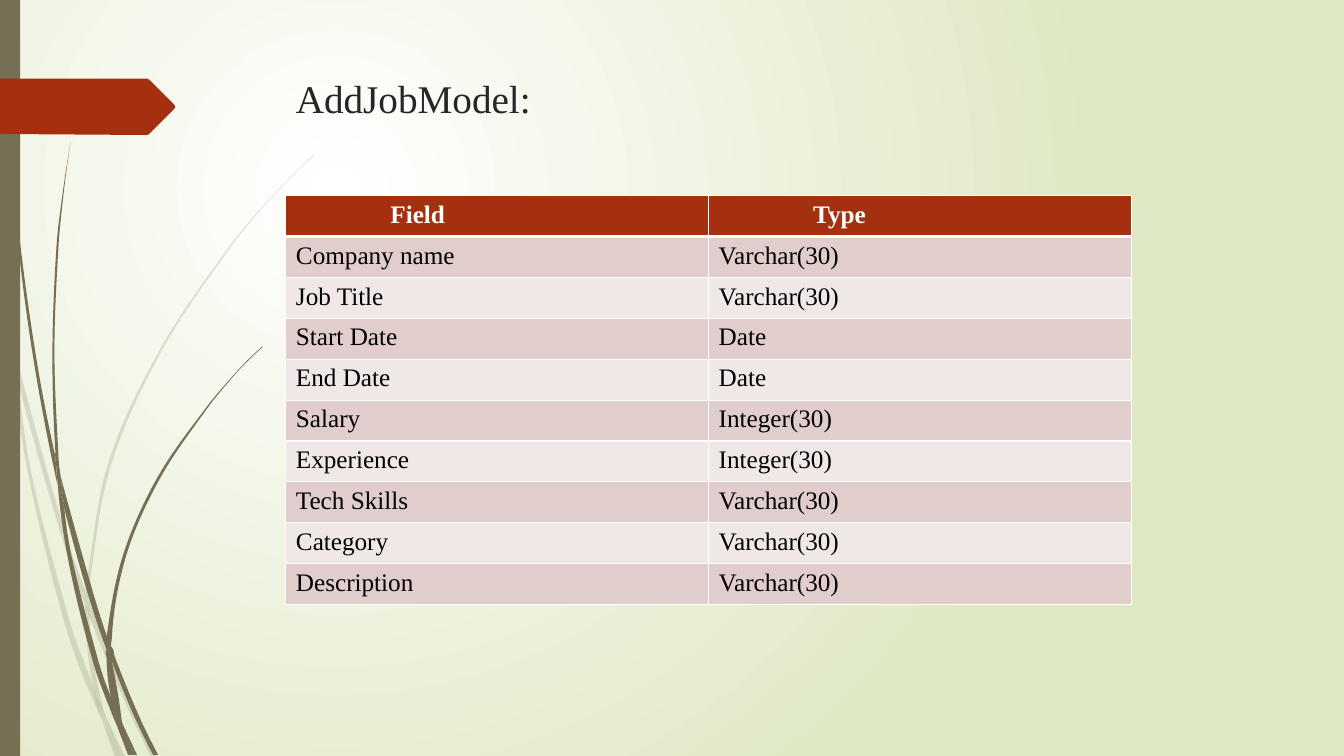
from lxml import etree
from pptx import Presentation
from pptx.dml.color import RGBColor
from pptx.enum.shapes import MSO_SHAPE
from pptx.enum.text import MSO_ANCHOR
from pptx.oxml.ns import qn
from pptx.util import Pt

RECT = MSO_SHAPE.RECTANGLE
TOP = MSO_ANCHOR.TOP
FONT = "Times New Roman"
OLIVE, RUST, WHITE, GREEN = "766F54", "A53010", "FFFFFF", "DFE8C4"
DARK, BLACK = "262626", "000000"
BANDS = ["E1CDCC", "F0E8E7"]

# Content
TITLE = "AddJobModel:"
HEAD = ("Field", "Type")
FIELDS = [
    ("Company name", "Varchar(30)"),
    ("Job Title", "Varchar(30)"),
    ("Start Date", "Date"),
    ("End Date", "Date"),
    ("Salary", "Integer(30)"),
    ("Experience", "Integer(30)"),
    ("Tech Skills", "Varchar(30)"),
    ("Category", "Varchar(30)"),
    ("Description", "Varchar(30)"),
]

# Outlines, in grid units; each blade piece has two smooth edges
GRID = Pt(0.72)
PALE = [
    ([(0, 282), (9, 322), (11, 350)], [(10, 344), (0, 299)]),
    ([(14, 345), (62, 520), (85, 586)], [(84, 599), (58, 522), (17, 376)]),
    ([(88, 596), (92, 607), (127, 692), (155, 751)],
     [(150, 751), (123, 694), (88, 610)]),
    ([(105, 711), (124, 751)], [(119, 751), (105, 711)]),
    ([(11, 350), (17, 376), (31, 469), (70, 619), (93, 683), (101, 714)],
     [(92, 693), (65, 621), (28, 470), (11, 350)]),
    ([(84, 599), (87, 646), (93, 683), (105, 711)],
     [(103, 706), (91, 646), (88, 608), (84, 599)]),
    ([(88, 596), (88, 584), (110, 462), (160, 349), (229, 245), (268, 198),
      (312, 154)],
     [(312, 153), (268, 197), (228, 244), (158, 348), (107, 461), (85, 584),
      (85, 586)]),
    ([(101, 714), (114, 751)], [(119, 751), (101, 714)]),
    ([(88, 610), (88, 596), (85, 586)], [(84, 599), (88, 608)]),
    ([(93, 683), (99, 707), (119, 751)], [(119, 751), (105, 711), (96, 692)]),
]
DEEP = [
    ([(3, 0), (4, 48), (7, 110), (17, 233), (33, 355), (57, 481)],
     [(55, 453), (36, 355), (19, 232), (8, 109), (5, 48), (4, 0)]),
    ([(60, 472), (93, 590), (106, 631)], [(106, 645), (88, 592), (64, 505)]),
    ([(110, 641), (136, 706), (157, 749)],
     [(152, 749), (132, 708), (111, 656)]),
    ([(57, 477), (68, 557), (93, 659), (111, 708), (117, 722)],
     [(110, 691), (98, 657), (72, 556), (64, 505)]),
    ([(60, 472), (58, 453), (54, 349), (58, 245), (63, 193), (70, 141)],
     [(70, 141), (62, 193), (56, 245), (52, 349), (55, 449), (60, 472)]),
    ([(122, 719), (136, 749)], [(133, 749), (122, 719)]),
    ([(57, 477), (64, 505)], [(60, 472), (55, 449), (55, 453)]),
    ([(111, 633), (125, 552), (158, 476), (205, 406), (231, 374), (245, 359),
      (261, 344)],
     [(260, 344), (245, 358), (231, 373), (204, 405), (156, 474), (122, 551),
      (106, 631), (110, 641)]),
    ([(117, 722), (127, 749)], [(131, 749), (117, 722)]),
    ([(106, 645), (110, 691), (122, 719)],
     [(121, 716), (111, 656), (106, 645)]),
    ([(106, 645), (111, 656), (110, 641)], [(106, 631), (106, 645)]),
    ([(110, 691), (117, 722), (130, 749)], [(133, 749), (122, 719), (116, 706)]),
]
ARROW = [(0, 78), (146, 78), (148, 79), (173, 104), (174, 106), (173, 108),
         (148, 133), (146, 134), (0, 133)]


def color(code):
    return RGBColor.from_string(code)


def paint(shape, code):
    shape.shadow.inherit = False
    shape.fill.solid()
    shape.fill.fore_color.rgb = color(code)
    shape.line.fill.background()


def unit(z):
    return z / abs(z)


def curves(edge):
    """Control points for each segment of a smooth edge."""
    dots = [complex(x, y) for x, y in edge]
    mid = [unit(c - a) for a, c in zip(dots, dots[2:])]
    first, last = unit(dots[1] - dots[0]), unit(dots[-1] - dots[-2])
    if mid:
        first, last = first ** 2 / mid[0], last ** 2 / mid[-1]
    ways = [first, *mid, last]
    return [(a + u * abs(b - a) / 3, b - v * abs(b - a) / 3)
            for a, b, u, v in zip(dots, dots[1:], ways, ways[1:])]


def outline(shapes, points, code):
    spots = [(x * GRID, y * GRID) for x, y in points]
    pen = shapes.build_freeform(*spots[0])
    pen.add_line_segments(spots[1:], close=True)
    shape = pen.convert_to_shape()
    paint(shape, code)
    return shape


def leaf(shapes, there, again):
    """A blade piece: straight joins between two curved edges."""
    shape = outline(shapes, there + again, OLIVE)
    bends = [*curves(there), None, *curves(again)]
    lines = list(shape._element.iter(qn("a:lnTo")))
    for line, bend in zip(lines, bends):
        if bend:
            line.tag = qn("a:cubicBezTo")
            for spot, dot in enumerate(bend):
                line.insert(spot, etree.Element(
                    qn("a:pt"), x=str(round(dot.real * GRID - shape.left)),
                    y=str(round(dot.imag * GRID - shape.top))))
    return shape


def write(frame, text, size, code, bold=False):
    run = frame.paragraphs[0].add_run()
    run.text = text
    run.font.name = FONT
    run.font.size = Pt(size)
    run.font.bold = bold
    run.font.color.rgb = color(code)


def border(cell, sides):
    props = cell._tc.get_or_add_tcPr()
    for spot, (side, width) in enumerate(sides.items()):
        line = etree.Element(qn("a:ln" + side), w=str(Pt(width)))
        fill = etree.SubElement(line, qn("a:solidFill"))
        etree.SubElement(fill, qn("a:srgbClr"), val=WHITE)
        props.insert(spot, line)


deck = Presentation()
deck.slide_width, deck.slide_height = Pt(960), Pt(540)
slide = deck.slides.add_slide(deck.slide_layouts[6])
shapes = slide.shapes

# Background glow
back = slide.background.fill
back.gradient()
for stop, place, code in zip(back.gradient_stops, (0, 1), (WHITE, GREEN)):
    stop.position = place
    stop.color.rgb = color(code)
grad = slide._element.find(".//" + qn("a:gradFill"))
grad.remove(grad.find(qn("a:lin")))
glow = etree.Element(qn("a:path"), {"path": "circle"})
etree.SubElement(glow, qn("a:fillToRect"),
                 l="50000", t="50000", r="100000", b="100000")
grad.find(qn("a:gsLst")).addnext(glow)

# Grass blades
for pieces, alpha in ((PALE, 20), (DEEP, 100)):
    group = shapes.add_group_shape()
    for there, again in pieces:
        blade = leaf(group.shapes, there, again)
        if alpha < 100:
            tint = blade._element.spPr.find(".//" + qn("a:srgbClr"))
            etree.SubElement(tint, qn("a:alpha"), val=str(alpha * 1000))

# Side bar and arrow
paint(shapes.add_shape(RECT, 0, 0, Pt(14.4), Pt(540)), OLIVE)
outline(shapes, ARROW, RUST)

# Title
title = shapes.add_textbox(Pt(204.2), Pt(49.5), Pt(702), Pt(101)).text_frame
title.word_wrap = True
title.vertical_anchor = TOP
write(title, TITLE, 28, DARK)

# Field table
rows = [HEAD, *FIELDS]
WIDE, HIGH = 302, 29.2
table = shapes.add_table(len(rows), len(HEAD), Pt(204.2), Pt(139.8),
                         Pt(WIDE * len(HEAD)), Pt(HIGH * len(rows))).table
for col in table.columns:
    col.width = Pt(WIDE)
for i, row in enumerate(rows):
    table.rows[i].height = Pt(HIGH)
    for j, text in enumerate(row):
        cell = table.cell(i, j)
        first = i == 0
        cell.fill.solid()
        cell.fill.fore_color.rgb = color(RUST if first else BANDS[(i - 1) % 2])
        cell.margin_left = Pt(74.7 if first else 7.2)
        write(cell.text_frame, text, 18, WHITE if first else BLACK, first)
        border(cell, {"L": 1, "R": 1, "T": 3 if i == 1 else 1,
                      "B": 3 if first else 1})

deck.save("out.pptx")
